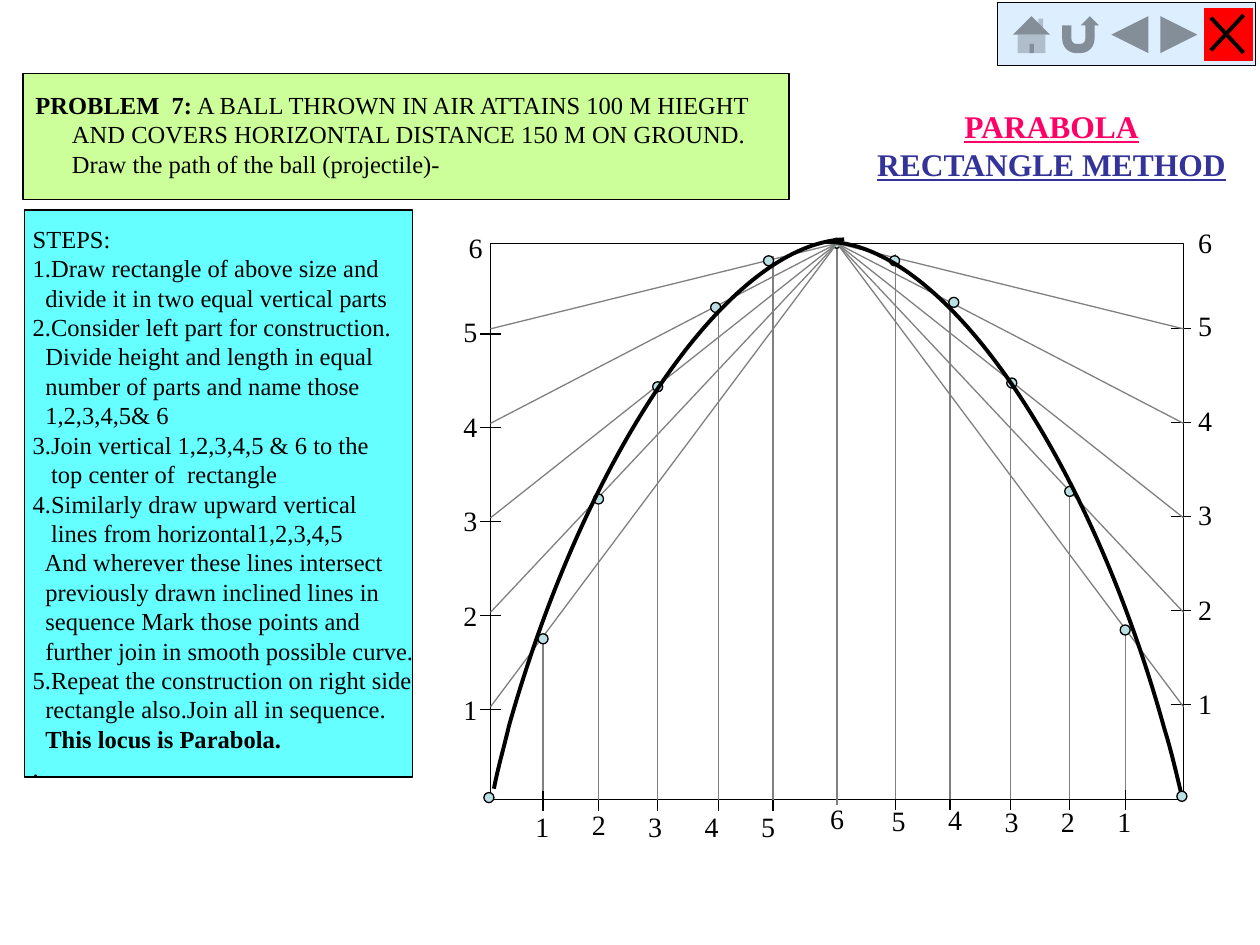
from dataclasses import dataclass

from lxml import etree
from pptx import Presentation
from pptx.dml.color import RGBColor
from pptx.enum.shapes import MSO_CONNECTOR, MSO_SHAPE
from pptx.enum.text import MSO_AUTO_SIZE, PP_ALIGN
from pptx.oxml.ns import qn
from pptx.util import Inches, Pt

RECT, OVAL = MSO_SHAPE.RECTANGLE, MSO_SHAPE.OVAL
BUTTON = MSO_SHAPE.ACTION_BUTTON_CUSTOM
NAVIGATION = (MSO_SHAPE.ACTION_BUTTON_HOME, MSO_SHAPE.ACTION_BUTTON_RETURN,
              MSO_SHAPE.ACTION_BUTTON_BACK_OR_PREVIOUS,
              MSO_SHAPE.ACTION_BUTTON_FORWARD_OR_NEXT)
STRAIGHT = MSO_CONNECTOR.STRAIGHT
LEFT, CENTER = PP_ALIGN.LEFT, PP_ALIGN.CENTER
FIT_TEXT = MSO_AUTO_SIZE.SHAPE_TO_FIT_TEXT
TOP_SIDE = 0
COLUMNS, ROWS = 100, 75


@dataclass(frozen=True)
class Theme:
    font: str = "Times New Roman"
    body: int = 14
    label: int = 16
    title: int = 18
    thin: float = 0.75
    bold_line: float = 2.25
    ink: str = "000000"
    guide: str = "808080"
    paper: str = "FFFFFF"
    point: str = "BBE0E3"
    problem: str = "CCFF99"
    steps: str = "66FFFF"
    button: str = "DDEEFF"
    close: str = "FF0000"
    pink: str = "FF0066"
    blue: str = "333399"


def rgb(code):
    return RGBColor.from_string(code)


class Board:
    """Draws on one slide; lengths are columns and rows of the grid."""

    def __init__(self, deck, theme):
        self.theme = theme
        self.slide = deck.slides.add_slide(deck.slide_layouts[6])
        self.column = deck.slide_width / COLUMNS
        self.row = deck.slide_height / ROWS

    def place(self, *lengths):
        """Turn alternating columns and rows into slide units."""
        return [round(length * (self.row if i % 2 else self.column))
                for i, length in enumerate(lengths)]

    def shape(self, kind, box, fill, line_width=None):
        shape = self.slide.shapes.add_shape(kind, *self.place(*box))
        shape.shadow.inherit = False
        shape.fill.solid()
        shape.fill.fore_color.rgb = rgb(fill)
        if line_width:
            shape.line.color.rgb = rgb(self.theme.ink)
            shape.line.width = Pt(line_width)
        else:
            shape.line.fill.background()
        return shape

    def point(self, x, y):
        self.shape(OVAL, (x, y, 0.8, 0.8), self.theme.point, self.theme.thin)

    def line(self, start, end, color=None, width=None, top_of=None):
        """Draw a line, ending at the top middle of top_of if given."""
        line = self.slide.shapes.add_connector(STRAIGHT, *self.place(*start, *end))
        if top_of:
            line.end_connect(top_of, TOP_SIDE)
        line.line.color.rgb = rgb(color or self.theme.ink)
        line.line.width = Pt(width or self.theme.thin)
        etree.SubElement(line._element.spPr, qn("a:effectLst"))

    def curve(self, controls):
        """Draw chained cubic arcs: a start, then three controls for each arc."""
        points = [self.place(*point) for point in controls]
        builder = self.slide.shapes.build_freeform(*points[0])
        builder.add_line_segments(points[1:], close=False)
        arch = builder.convert_to_shape()
        segments = list(arch._element.iter(qn("a:lnTo")))
        outline = segments[0].getparent()
        for first in range(0, len(segments), 3):
            arc = etree.SubElement(outline, qn("a:cubicBezTo"))
            for segment in segments[first:first + 3]:
                arc.append(segment[0])
                outline.remove(segment)
        arch.shadow.inherit = False
        arch.fill.background()
        arch.line.color.rgb = rgb(self.theme.ink)
        arch.line.width = Pt(self.theme.bold_line)

    def text(self, box, paragraphs, size, align=LEFT):
        """Write paragraphs, each (indent in columns, [(words, format), ...])."""
        frame = self.slide.shapes.add_textbox(*self.place(*box)).text_frame
        frame.word_wrap = False
        frame.auto_size = FIT_TEXT
        for i, (indent, runs) in enumerate(paragraphs):
            paragraph = frame.add_paragraph() if i else frame.paragraphs[0]
            paragraph.alignment = align
            if indent:
                paragraph._p.get_or_add_pPr().set("marL", str(round(indent * self.column)))
            for words, style in runs:
                self.run(paragraph, words, size, **style)

    def run(self, paragraph, words, size, color=None, bold=False, underline=False):
        run = paragraph.add_run()
        run.text = words
        font = run.font
        font.name, font.size = self.theme.font, Pt(size)
        font.bold, font.underline = bold, underline
        font.color.rgb = rgb(color or self.theme.ink)

    def label(self, x, y, number):
        self.text((x, y, 3.1, 3.7), [(0, [(str(number), {})])], self.theme.label)


def draw_construction(board):
    theme = board.theme
    left, top, width, height = 38.93, 19.32, 55, 44.15
    right, middle = left + width, left + width / 2
    frame = board.shape(RECT, (left, top, width, height), theme.paper, theme.thin)
    board.line((middle, 63.9), (middle, top), theme.guide, top_of=frame)
    for x, y in ((38.4, 62.9), (66, 18.9), (93.4, 62.8)):
        board.point(x, y)

    # Height divisions: edge, tick start, first tick, label column, first label
    sides = ((left, 38.1, 56.3, 35.8, 54.5), (right, 92.9, 55.9, 94.1, 54))
    for edge, tick_x, tick_y, label_x, label_y in sides:
        for i in range(5):
            y = tick_y - 7.45 * i
            board.line((tick_x, y), (tick_x + 1.65, y))
            board.line((edge, 56.1 - 7.5 * i), (middle, top), theme.guide, top_of=frame)
            board.label(label_x, label_y - 7.5 * i, i + 1)
    board.label(36.2, 17.8, 6)
    board.label(94.1, 17.4, 6)

    # Length divisions, numbered inwards; the right half mirrors the left
    divisions = ((43.1, 50.3, 63.8, 63.4), (47.5, 39.5, 63.6, 63.4),
                 (52.2, 30.3, 63.8, 63.4), (57, 24.5, 63.8, 63.2), (61.35, 20.3, 63.8, 63.3))
    for i, (x, y, left_label, right_label) in enumerate(divisions):
        foot = 63.5 if i else 62.8
        for at, rise, label_x, label_y in ((x, 0, 41.5 + 4.48 * i, left_label),
                                           (132.4 - x, 0.1, 87.7 - 4.48 * i, right_label)):
            board.line((at, 62.8 - rise), (at, 64.4 - rise))
            board.line((at, foot - rise), (at, y - rise), theme.guide)
            board.label(label_x, label_y, i + 1)
    board.label(64.9, 63.1, 6)

    for x, y in ((42.7, 50.3), (47.1, 39.2), (51.8, 30.3), (56.4, 24), (60.6, 20.3),
                 (70.6, 20.3), (75.3, 23.6), (79.9, 30), (84.5, 38.6), (88.9, 49.6)):
        board.point(x, y)
    board.curve([(65.9, 19.2), (75, 19.6), (86.4, 36.1), (92.4, 57.8),
                 (92.9, 59.4), (93.3, 61.1), (93.7, 62.8)])
    board.curve([(67, 19), (57.8, 19.4), (46.5, 36), (40.4, 57.6),
                 (40, 59.3), (39.5, 61), (39.2, 62.6)])


def draw_texts(board):
    theme = board.theme
    heading = {"bold": True, "underline": True}
    board.text((68.5, 8, 29.9, 7),
               [(0, [("PARABOLA", {"color": theme.pink, **heading})]),
                (0, [("RECTANGLE METHOD", {"color": theme.blue, **heading})])],
               theme.title, CENTER)
    board.shape(RECT, (1.83, 5.83, 60.8, 10), theme.problem, theme.thin)
    board.text((1.83, 6.65, 59.4, 8),
               [(0, [("PROBLEM  7:", {"bold": True}),
                     (" A BALL THROWN IN AIR ATTAINS 100 M HIEGHT", {})]),
                (2.9, [("AND COVERS HORIZONTAL DISTANCE 150 M ON GROUND.", {})]),
                (2.9, [("Draw the path of the ball (projectile)-", {})])], theme.body)
    steps = ((0, "STEPS:"), (0, "1.Draw rectangle of above size and"),
             (1, "divide it in two equal vertical parts"),
             (0, "2.Consider left part for construction."),
             (1, "Divide height and length in equal"),
             (1, "number of parts and name those"), (1, "1,2,3,4,5& 6"),
             (0, "3.Join vertical 1,2,3,4,5 & 6 to the"), (1.46, "top center of  rectangle"),
             (0, "4.Similarly draw upward vertical"), (1.46, "lines from horizontal1,2,3,4,5"),
             (0.95, "And wherever these lines intersect"),
             (1, "previously drawn inclined lines in"), (1, "sequence Mark those points and"),
             (1, "further join in smooth possible curve."),
             (0, "5.Repeat the construction on right side"),
             (1, "rectangle also.Join all in sequence."),
             (1, "This locus is Parabola."), (0, "."))
    board.shape(RECT, (1.97, 16.67, 30.8, 45), theme.steps, theme.thin)
    board.text((1.62, 17.27, 32.6, 45.2),
               [(indent, [(words, {"bold": words.startswith("This locus")})])
                for indent, words in steps], theme.body)


def draw_navigation(board):
    theme = board.theme
    board.shape(BUTTON, (79.15, 0.2, 20.5, 5), theme.button, 0.5)
    for i, kind in enumerate((*NAVIGATION, BUTTON)):
        fill = theme.close if kind == BUTTON else theme.button
        board.shape(kind, (79.92 + 3.9 * i, 0.65, 3.9, 4.2), fill)
    board.line((96.1, 1.4), (98.7, 4.2), width=theme.bold_line)
    board.line((98.7, 1.2), (96.1, 4), width=theme.bold_line)


def main():
    deck = Presentation()
    deck.slide_width, deck.slide_height = Inches(10), Inches(7.5)
    board = Board(deck, Theme())
    draw_construction(board)
    draw_texts(board)
    draw_navigation(board)
    deck.save("out.pptx")


if __name__ == "__main__":
    main()
